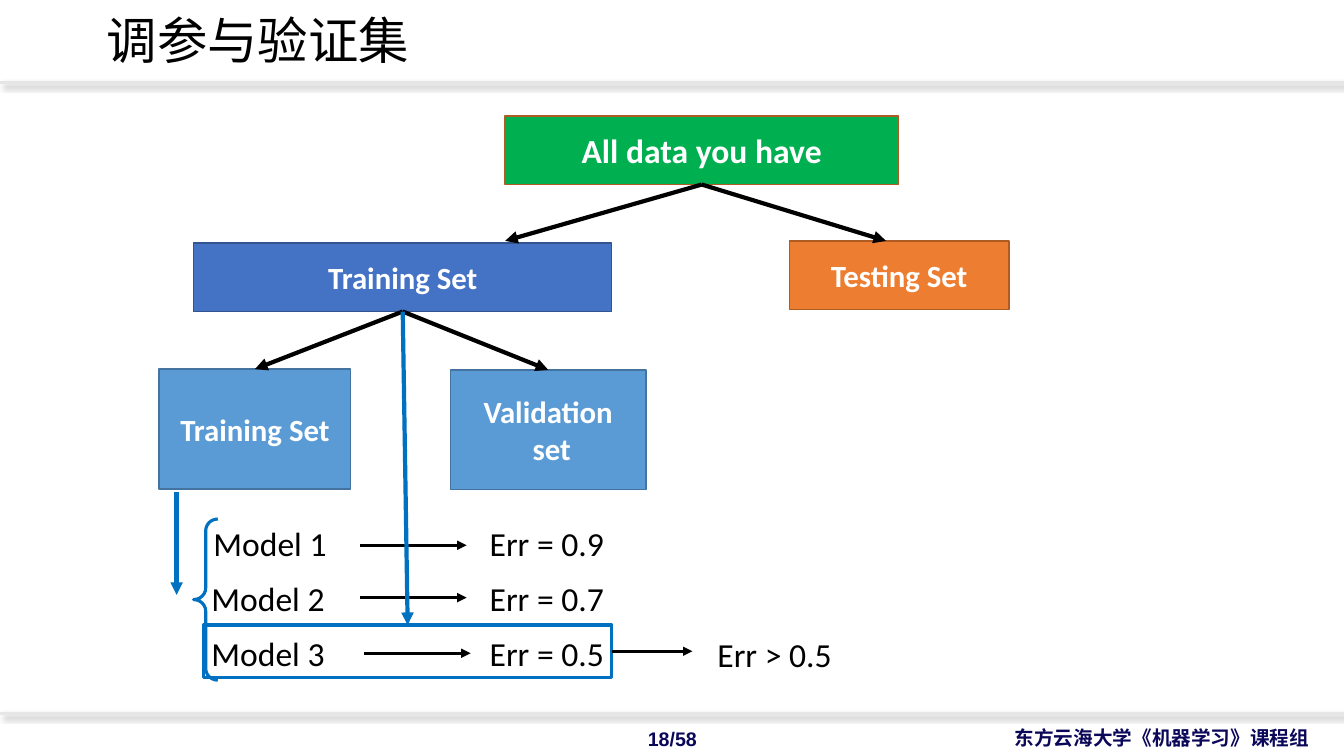
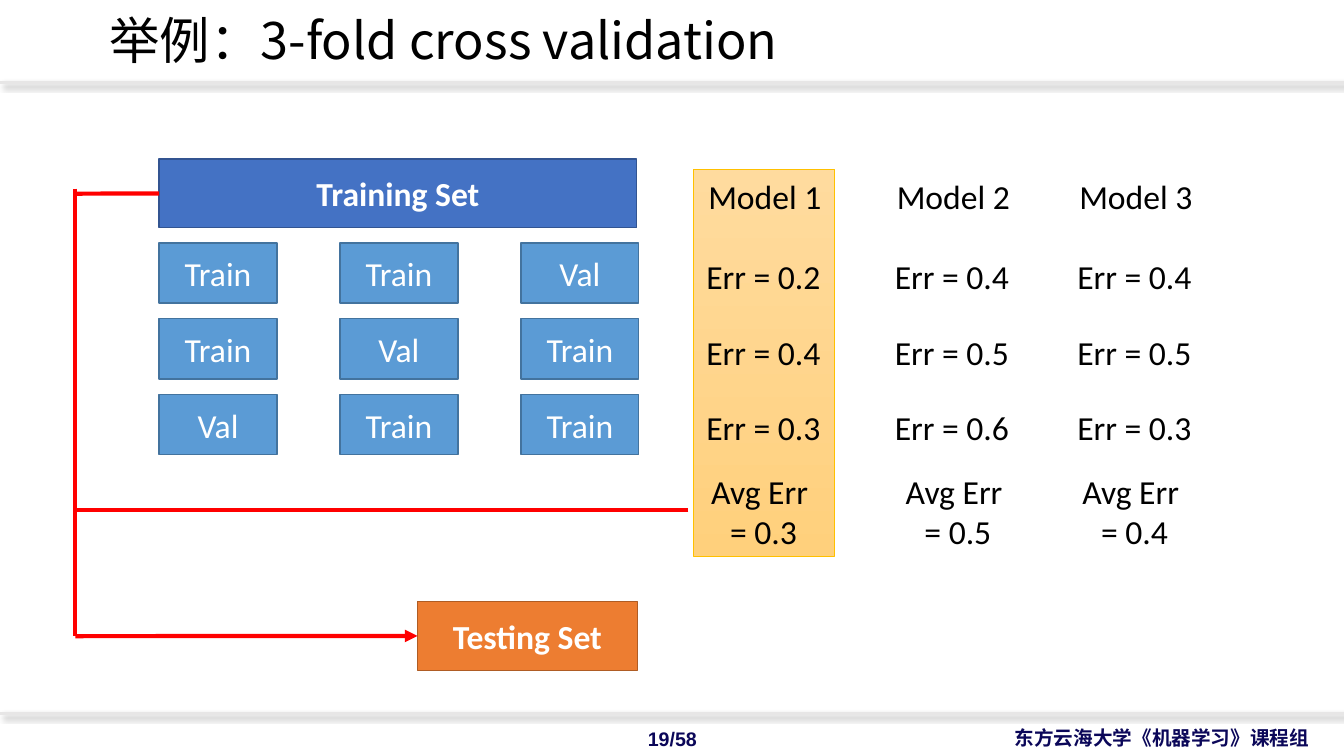
from collections import namedtuple
from dataclasses import dataclass

from lxml.etree import SubElement
from pptx import Presentation
from pptx.dml.color import RGBColor as RGB
from pptx.enum.shapes import MSO_CONNECTOR as Link, MSO_SHAPE as Preset
from pptx.enum.text import MSO_ANCHOR as Anchor, MSO_AUTO_SIZE as Fit, PP_ALIGN as Align
from pptx.oxml.ns import qn
from pptx.util import Cm, Pt


@dataclass(frozen=True)
class Theme:
    # Colours
    ink: str = "000000"
    paper: str = "FFFFFF"
    footer: str = "0B0759"
    rule: str = "E7E6E6"
    blue: str = "0070C0"
    red: str = "FF0000"
    # Fill and outline pairs
    whole: tuple = ("00B050", "AF5C24")
    training: tuple = ("4472C4", "325491")
    testing: tuple = ("ED7D31", "AF5C24")
    fold: tuple = ("5B9BD5", "43739E")
    chosen: tuple = ("FFDB9E", "FFD07C", "FFC000")
    # Fonts and type sizes
    body_font: str = "Calibri"
    cjk_font: str = "Noto Sans CJK SC"
    footer_font: str = "Arial"
    title_size: int = 36
    body_size: int = 24
    node_size: int = 22
    footer_size: int = 14


T = Theme()
WIDTH, HEIGHT = 33.87, 19.05
TOP, LEFT, BOTTOM, RIGHT = range(4)
Site = namedtuple("Site", "shape side")


def apply(target, values):
    for name, value in values.items():
        setattr(target, name, value)


def write(frame, text, size=T.body_size, color=T.ink, font=T.body_font, bold=False,
          anchor=Anchor.TOP, fit=Fit.NONE, **paragraph_format):
    """Fill a text frame, one paragraph for each line of text."""
    apply(frame, {"word_wrap": True, "vertical_anchor": anchor, "auto_size": fit})
    for number, line in enumerate(text.split("\n")):
        paragraph = frame.add_paragraph() if number else frame.paragraphs[0]
        apply(paragraph, paragraph_format)
        run = paragraph.add_run()
        run.text = line
        apply(run.font, {"name": font, "size": Pt(size), "bold": bold})
        run.font.color.rgb = RGB.from_string(color)
        SubElement(run.font._element, qn("a:ea"), typeface=T.cjk_font)


def label(slide, box, text, **style):
    frame = slide.shapes.add_textbox(*map(Cm, box)).text_frame
    write(frame, text, **{"fit": Fit.SHAPE_TO_FIT_TEXT, **style})


def outline(slide, box, color, weight, preset=Preset.RECTANGLE):
    """Add an unfilled preset shape."""
    shape = slide.shapes.add_shape(preset, *map(Cm, box))
    shape.shadow.inherit = False
    shape.fill.background()
    shape.line.width = Pt(weight)
    shape.line.color.rgb = RGB.from_string(color)
    return shape


def node(slide, box, text, colors, size=T.body_size, bold=True):
    fill, edge = colors
    shape = outline(slide, box, edge, 1)
    shape.fill.solid()
    shape.fill.fore_color.rgb = RGB.from_string(fill)
    write(shape.text_frame, text, size, T.paper, bold=bold,
          anchor=Anchor.MIDDLE, alignment=Align.CENTER)
    return shape


def connect(slide, start, end, color=T.ink, weight=3, arrow=True):
    """Join two ends, each an (x, y) point or a Site on a shape; return the effect list."""
    points = [(0, 0) if isinstance(stop, Site) else stop for stop in (start, end)]
    link = slide.shapes.add_connector(
        Link.STRAIGHT, *(Cm(value) for point in points for value in point))
    for stop, join in ((start, link.begin_connect), (end, link.end_connect)):
        if isinstance(stop, Site):
            join(*stop)
    link.line.width = Pt(weight)
    link.line.color.rgb = RGB.from_string(color)
    properties = link._element.spPr
    if arrow:
        SubElement(properties.find(qn("a:ln")), qn("a:tailEnd"), type="triangle")
    return SubElement(properties, qn("a:effectLst"))


def rule(slide, top):
    """Draw a full-width line with a soft shadow."""
    effects = connect(slide, (0, top), (WIDTH, top), T.rule, 2, arrow=False)
    shadow = SubElement(effects, qn("a:outerShdw"), blurRad=str(Pt(4)),
                        dist=str(Pt(3)), dir="2700000", algn="tl", rotWithShape="0")
    tint = SubElement(shadow, qn("a:srgbClr"), val=T.ink)
    SubElement(tint, qn("a:alpha"), val="40000")


def start_slide(deck, title, title_left, page):
    """Add a slide with the title, both rules and the footer."""
    slide = deck.slides.add_slide(deck.slide_layouts[6])
    for top in (2.08, 17.98):
        rule(slide, top)
    label(slide, (title_left, 0.03, 21.89, 2.16), title, size=T.title_size,
          font=T.cjk_font, anchor=Anchor.MIDDLE, fit=Fit.NONE, line_spacing=0.85)
    for box, text, align in (
        ((22.56, 18.16, 10.69, 0.86), "东方云海大学《机器学习》课程组", Align.RIGHT),
        ((15.37, 18.19, 3.15, 0.86), f"{page}/58", Align.CENTER),
    ):
        label(slide, box, text, size=T.footer_size, color=T.footer, font=T.footer_font,
              bold=True, anchor=Anchor.MIDDLE, alignment=align, space_before=Pt(2.8))
    return slide


def tuning_slide(deck):
    slide = start_slide(deck, "调参与验证集", 2.44, 18)

    # Data split tree
    all_data = node(slide, (12.73, 2.92, 9.91, 1.73), "All data you have", T.whole)
    training = node(slide, (4.88, 6.12, 10.54, 1.73), "Training Set", T.training, T.node_size)
    node(slide, (19.89, 6.07, 5.54, 1.73), "Testing Set", T.testing, T.node_size)
    fitting = node(slide, (4.01, 9.3, 4.83, 3.02), "Training Set", T.fold, T.node_size)
    validation = node(slide, (11.35, 9.32, 4.93, 3.02), "Validation\n set", T.fold, T.node_size)
    for split_end in ((12.73, 6.07), (22.33, 6.07)):
        connect(slide, Site(all_data, BOTTOM), split_end)
    for subset in (fitting, validation):
        connect(slide, Site(training, BOTTOM), Site(subset, TOP))

    # Candidate models and their validation errors
    candidates = (
        ("Model 1", "Err = 0.9", 5.13, 9.07, 13.74),
        ("Model 2", "Err = 0.7", 5.08, 9.07, 15.06),
        ("Model 3", "Err = 0.5", 5.08, 9.17, 16.46),
    )
    for row, (model, error, model_left, arrow_left, arrow_y) in enumerate(candidates):
        top = 13.06 + 1.38 * row
        label(slide, (model_left, top, 3.51, 1.27), model)
        label(slide, (12.09, top, 3.78, 1.27), error)
        connect(slide, (arrow_left, arrow_y), (arrow_left + 2.69, arrow_y), weight=2.25)
    brace = outline(slide, (4.88, 13.08, 0.61, 4.06), T.blue, 2.25, Preset.LEFT_BRACE)
    brace.adjustments[0] = 0.48
    connect(slide, (4.45, 12.4), (4.45, 14.99), T.blue)

    # Best model, retrained on the whole training set
    best = outline(slide, (5.13, 15.75, 10.29, 1.32), T.blue, 2.25)
    connect(slide, Site(training, BOTTOM), Site(best, TOP), T.blue)
    connect(slide, Site(best, RIGHT), (17.45, 16.41), weight=2.25)
    label(slide, (17.83, 15.85, 3.78, 1.27), "Err > 0.5")


def cross_validation_slide(deck):
    slide = start_slide(deck, "举例：3-fold cross validation", 2.51, 19)
    folds = 3
    fold_left, fold_top, column_step, row_step = 4.01, 6.12, 4.56, 1.91

    # Highlight behind the best model
    light, dark, edge = T.chosen
    highlight = outline(slide, (17.48, 4.27, 3.56, 9.75), edge, 0.5)
    highlight.fill.gradient()
    highlight.fill.gradient_angle = 270
    for stop, color in zip(highlight.fill.gradient_stops, (light, dark)):
        stop.color.rgb = RGB.from_string(color)

    # Folds: the validation fold moves along the diagonal
    training = node(slide, (4.01, 4.01, 12.04, 1.73), "Training Set", T.training)
    for row in range(folds):
        for column in range(folds):
            role = "Val" if row + column == folds - 1 else "Train"
            box = (fold_left + column * column_step, fold_top + row * row_step, 2.97, 1.52)
            node(slide, box, role, T.fold, bold=False)

    # Errors of each model, fold by fold
    results = (
        ("Model 1", 17.35, 17.35, (0.2, 0.4, 0.3), 0.3),
        ("Model 2", 22.1, 22.25, (0.4, 0.5, 0.6), 0.5),
        ("Model 3", 26.7, 26.7, (0.4, 0.5, 0.3), 0.4),
    )
    for model, left, average_left, errors, average in results:
        label(slide, (left + 0.25, 4.32, 3.51, 1.27), model)
        for row, error in enumerate(errors):
            label(slide, (left, fold_top + 0.2 + row * row_step, 3.78, 1.27),
                  f"Err = {error}", alignment=Align.CENTER)
        label(slide, (average_left, 11.73, 3.78, 2.31), f"Avg Err \n= {average}",
              alignment=Align.CENTER)

    # Retrain the best model and test it
    testing = node(slide, (10.52, 15.16, 5.54, 1.73), "Testing Set", T.testing)
    trunk = 1.9
    for start, end, arrow in (
        ((trunk, 4.75), (trunk, 16.03), False),
        ((17.35, 12.85), (trunk, 12.85), False),
        (Site(training, LEFT), (trunk, 4.88), False),
        ((trunk, 16.03), Site(testing, LEFT), True),
    ):
        connect(slide, start, end, T.red, arrow=arrow)


def main():
    deck = Presentation()
    apply(deck, {"slide_width": Cm(WIDTH), "slide_height": Cm(HEIGHT)})
    tuning_slide(deck)
    cross_validation_slide(deck)
    deck.save("out.pptx")


if __name__ == "__main__":
    main()
